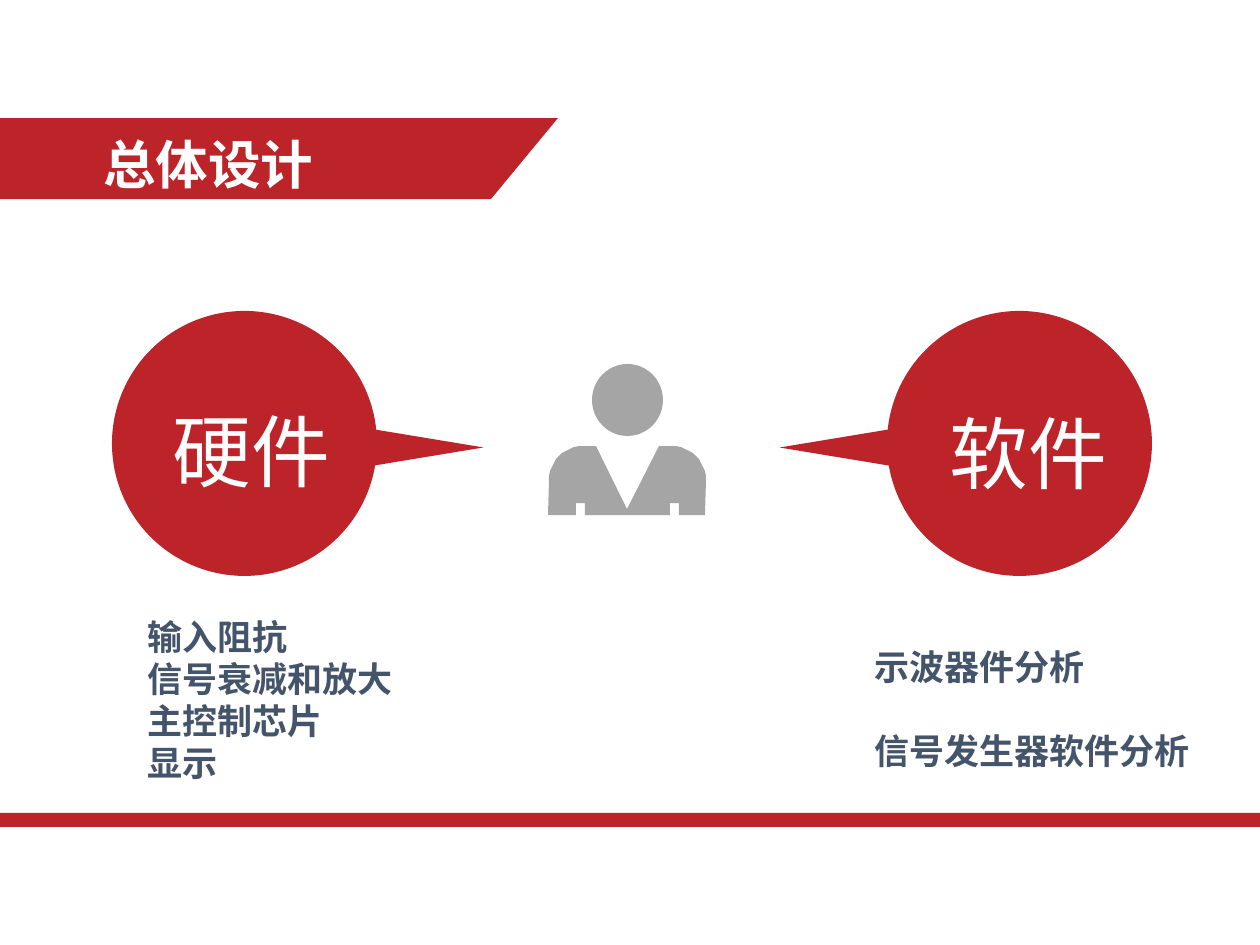
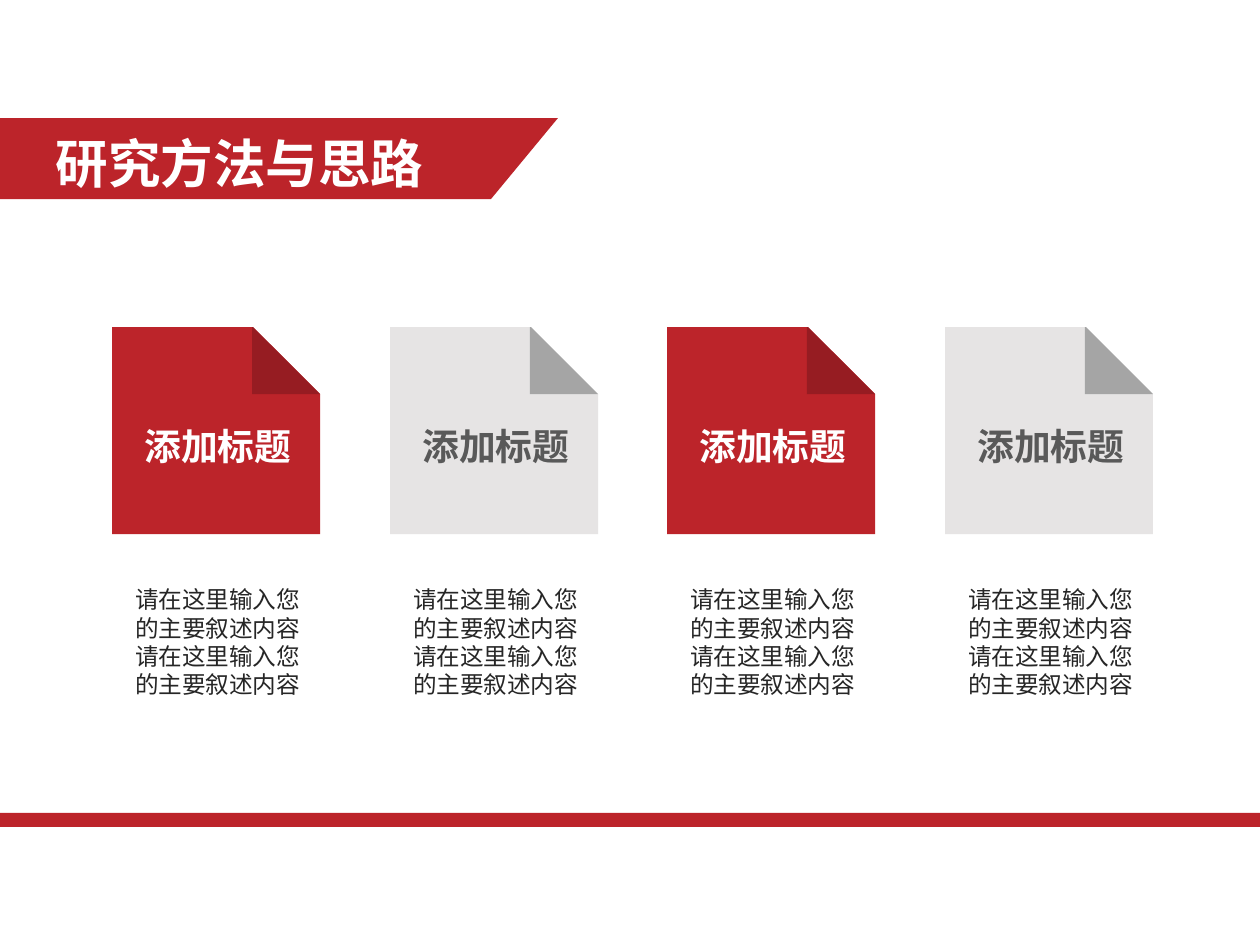
import math
from lxml import etree
from pptx import Presentation
from pptx import util as u
from pptx.dml.color import RGBColor
from pptx.enum import shapes, text
from pptx.oxml.ns import qn

# Shared style
PX = 914400 / 126
RED, DARK_RED, WHITE = "BC242A", "961C22", "FFFFFF"
GREY, LIGHT_GREY, DARK_GREY = "A5A5A5", "E6E4E4", "595959"
SLATE, INK = "44546A", "262626"
SANS, SANS_JP = "Noto Sans CJK SC", "Noto Sans CJK JP"
LINE_HEIGHT = 1.2

# Slide 1: title, two callouts facing a person
DESIGN_TITLE = "总体设计"
CALLOUTS = [
    dict(label="硬件", circle_x=112, pointer_x=403, rotation=90,
         label_box=(160, 389, 183, 108), items=["输入阻抗", "信号衰减和放大", "主控制芯片", "显示"],
         items_box=(135, 607, 271, 183), gap=0),
    dict(label="软件", circle_x=887, pointer_x=820, rotation=270,
         label_box=(937, 391, 183, 108), items=["示波器件分析", "信号发生器软件分析"],
         items_box=(862, 637, 341, 165), gap=24),
]

# Slide 2: title, four folded pages
METHOD_TITLE = "研究方法与思路"
CARD_TITLE = "添加标题"
CARD_LINES = ["请在这里输入您", "的主要叙述内容"] * 2
CARD_COLOURS = [(RED, DARK_RED, WHITE), (LIGHT_GREY, GREY, DARK_GREY)] * 2
FIRST_CARD_X, LAST_CARD_X, CARD_Y = 112, 945, 327
PAGE_WIDTH, PAGE_HEIGHT, FOLD_X, FOLD_SIZE = 208, 207, 140, 67


def px(*lengths):
    return [u.Emu(round(length * PX)) for length in lengths]


def colour(value):
    return RGBColor.from_string(value)


def paint(shape, fill):
    shape.shadow.inherit = False
    shape.fill.solid()
    shape.fill.fore_color.rgb = colour(fill)
    shape.line.fill.background()
    return shape


def add_preset(slide, kind, box, fill):
    return paint(slide.shapes.add_shape(kind, *px(*box)), fill)


def add_outline(slide, points, fill, left=0, top=0):
    placed = [(round(left + x), round(top + y)) for x, y in points]
    builder = slide.shapes.build_freeform(*placed[0], scale=PX)
    builder.add_line_segments(placed[1:], close=True)
    return paint(builder.convert_to_shape(), fill)


def add_text(slide, lines, box, size, ink, font=SANS, bold=False,
             align="LEFT", gap=0, drop=0.07, fill=None):
    if fill:
        shape = add_preset(slide, shapes.MSO_SHAPE.RECTANGLE, box, fill)
    else:
        shape = slide.shapes.add_textbox(*px(*box))
    frame = shape.text_frame
    frame.word_wrap = False
    frame.vertical_anchor = text.MSO_ANCHOR.TOP
    frame.margin_top = u.Pt(3.6 + drop * size)
    for index, line in enumerate(lines):
        paragraph = frame.paragraphs[0] if index == 0 else frame.add_paragraph()
        paragraph.alignment = getattr(text.PP_ALIGN, align)
        paragraph.line_spacing = u.Pt(LINE_HEIGHT * size)
        if index:
            paragraph.space_before = u.Pt(gap)
        run = paragraph.add_run()
        run.text = line
        run.font.size, run.font.bold, run.font.name = u.Pt(size), bold, font
        run.font.color.rgb = colour(ink)
        east_asian = etree.SubElement(run._r.get_or_add_rPr(), qn("a:ea"))
        east_asian.set("typeface", SANS if font == "Arial" else font)
    return shape


def add_base(presentation, title, title_box, **title_format):
    slide = presentation.slides.add_slide(presentation.slide_layouts[6])
    add_outline(slide, [(0, 118), (558, 118), (491, 199), (0, 199)], RED)
    add_preset(slide, shapes.MSO_SHAPE.RECTANGLE, (0, 813, 1260, 14), RED)
    add_text(slide, [title], title_box, 30, WHITE, bold=True, **title_format)
    return slide


def shoulder(center_x, start, end):
    """Points of a quarter circle between two angles in degrees."""
    angles = [math.radians(start + (end - start) * step / 12) for step in range(13)]
    return [(center_x + 34 * math.cos(a), 480 - 34 * math.sin(a)) for a in angles]


def add_person(slide):
    add_preset(slide, shapes.MSO_SHAPE.OVAL, (592, 364, 71, 72), GREY)
    notches = [(576, 515), (576, 503), (585, 503), (585, 515),
               (670, 515), (670, 503), (679, 503), (679, 515)]
    collar = [(659, 446), (627, 509), (596, 446)]
    add_outline(slide, notches + [(705, 515)] + shoulder(672, 0, 90) + collar
                + shoulder(583, 90, 180) + [(548, 515)], GREY)


def add_callout(slide, callout):
    add_preset(slide, shapes.MSO_SHAPE.OVAL, (callout["circle_x"], 311, 265, 265), RED)
    pointer = add_preset(slide, shapes.MSO_SHAPE.ISOSCELES_TRIANGLE,
                         (callout["pointer_x"], 387, 40, 121), RED)
    pointer.rotation = callout["rotation"]
    add_text(slide, [callout["label"]], callout["label_box"], 45, WHITE, drop=0.1, fill=RED)
    add_text(slide, callout["items"], callout["items_box"], 20, SLATE,
             font="Arial", bold=True, gap=callout["gap"])


def add_card(slide, left, page_fill, fold_fill, ink):
    page = [(0, 0), (FOLD_X + 1, 0), (PAGE_WIDTH, FOLD_SIZE),
            (PAGE_WIDTH, PAGE_HEIGHT), (0, PAGE_HEIGHT)]
    fold = [(FOLD_X, 0), (FOLD_X + 1, 0), (PAGE_WIDTH, FOLD_SIZE), (FOLD_X, FOLD_SIZE)]
    add_outline(slide, page, page_fill, left, CARD_Y)
    add_outline(slide, fold, fold_fill, left, CARD_Y)
    add_text(slide, [CARD_TITLE], (left + 20, 415, 173, 57), 21, ink, bold=True)
    add_text(slide, CARD_LINES, (left + 11, 578, 190, 156), 13.5, INK, drop=0.03)


def main():
    presentation = Presentation()
    presentation.slide_width, presentation.slide_height = px(1260, 945)

    design = add_base(presentation, DESIGN_TITLE, (91, 122, 236, 76))
    add_person(design)
    for callout in CALLOUTS:
        add_callout(design, callout)

    method = add_base(presentation, METHOD_TITLE, (43, 121, 393, 76),
                      font=SANS_JP, align="CENTER")
    step = (LAST_CARD_X - FIRST_CARD_X) / (len(CARD_COLOURS) - 1)
    for index, colours in enumerate(CARD_COLOURS):
        add_card(method, round(FIRST_CARD_X + index * step), *colours)

    presentation.save("out.pptx")


if __name__ == "__main__":
    main()
